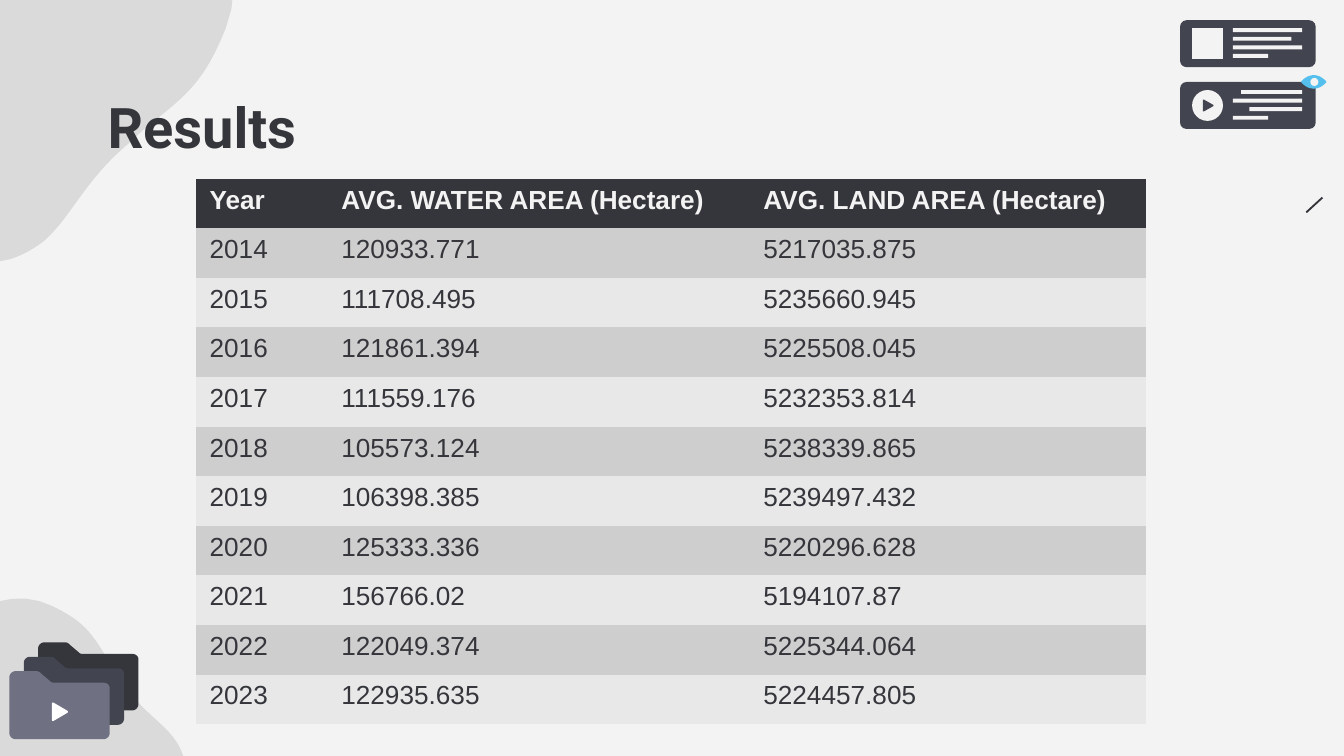
from lxml.etree import SubElement
from pptx import Presentation
from pptx.dml.color import RGBColor
from pptx.enum.shapes import MSO_CONNECTOR as CONNECTOR, MSO_SHAPE as SHAPE
from pptx.enum.text import MSO_ANCHOR as ANCHOR, MSO_AUTO_SIZE as AUTO_SIZE, PP_ALIGN as ALIGN
from pptx.oxml.ns import qn
from pptx.util import Inches, Pt

COLORS = {
    "background": "F3F3F3", "ink": "35363B", "slate": "42444F", "lavender": "6F7082",
    "white": "FFFFFF", "eye": "55C0ED", "odd": "CECECE", "even": "E8E8E8", "shade": "000000",
}
PLAIN_TABLE_STYLE = "{2D5ABB26-0587-4C30-8999-92F81FD0307C}"
TOP_BLOB = [
    (-0.28, -0.56), (-0.42, -0.45, -0.58, -0.28, -0.68, -0.06), (-0.92, 0.45, -0.82, 0.97, -0.75, 1.4),
    (-0.68, 1.83, -0.34, 2.04, 0.07, 1.93), (0.17, 1.9, 0.25, 1.85, 0.32, 1.8),
    (0.52, 1.63, 0.62, 1.36, 0.93, 1.09), (0.98, 1.05, 1.02, 1.01, 1.06, 0.97),
    (1.12, 0.93, 1.16, 0.89, 1.21, 0.85), (1.42, 0.68, 1.54, 0.56, 1.68, 0.21),
    (1.87, -0.27, 1.56, -0.77, 1.01, -0.87), (0.46, -0.98, 0.05, -0.78, 0.05, -0.78),
    (0.05, -0.78, -0.1, -0.71, -0.28, -0.56),
]
BOTTOM_BLOB = [
    (-0.44, 5.8), (-0.38, 5.91, -0.28, 6.02, -0.14, 6.11), (0.19, 6.3, 0.57, 6.26, 0.89, 6.23),
    (1.2, 6.21, 1.4, 5.99, 1.38, 5.7), (1.37, 5.63, 1.35, 5.58, 1.32, 5.53),
    (1.23, 5.38, 1.05, 5.3, 0.91, 5.07), (0.88, 5.03, 0.86, 5, 0.84, 4.97),
    (0.82, 4.93, 0.8, 4.9, 0.78, 4.87), (0.68, 4.71, 0.62, 4.62, 0.39, 4.51),
    (0.07, 4.35, -0.33, 4.54, -0.48, 4.91), (-0.63, 5.28, -0.55, 5.57, -0.55, 5.57),
    (-0.55, 5.57, -0.52, 5.67, -0.44, 5.8),
]
FOLDER = [
    (0.32, 0.04), (0.4, 0.14), (0.41, 0.16, 0.43, 0.17, 0.44, 0.17), (0.94, 0.17),
    (0.97, 0.17, 1, 0.2, 1, 0.25), (1, 0.91), (1, 0.96, 0.97, 1, 0.94, 1), (0.06, 1),
    (0.03, 1, 0, 0.96, 0, 0.91), (0, 0.09), (0, 0.04, 0.03, 0, 0.06, 0), (0.27, 0),
    (0.29, 0, 0.31, 0.02, 0.32, 0.04),
]
PLAY = [
    (0, 0.07), (0, 0.93), (0, 1, 0.05, 1, 0.11, 0.98), (0.95, 0.56),
    (1, 0.53, 1, 0.47, 0.95, 0.44), (0.11, 0.02), (0.05, 0, 0, 0, 0, 0.07),
]
EYE = [(0, 0.5), (0.13, 0.2, 0.3, 0, 0.5, 0), (0.7, 0, 0.87, 0.2, 1, 0.5),
       (0.87, 0.8, 0.7, 1, 0.5, 1), (0.3, 1, 0.13, 0.8, 0, 0.5)]
RESULTS = [
    ("Year", "AVG. WATER AREA (Hectare)", "AVG. LAND AREA (Hectare)"),
    ("2014", "120933.771", "5217035.875"),
    ("2015", "111708.495", "5235660.945"),
    ("2016", "121861.394", "5225508.045"),
    ("2017", "111559.176", "5232353.814"),
    ("2018", "105573.124", "5238339.865"),
    ("2019", "106398.385", "5239497.432"),
    ("2020", "125333.336", "5220296.628"),
    ("2021", "156766.02", "5194107.87"),
    ("2022", "122049.374", "5225344.064"),
    ("2023", "122935.635", "5224457.805"),
]


def rgb(name):
    """Return the named colour."""
    return RGBColor.from_string(COLORS[name])


def paint(shape, color):
    """Give a shape a flat fill with no line or shadow."""
    shape.shadow.inherit = False
    shape.fill.solid()
    shape.fill.fore_color.rgb = rgb(color)
    shape.line.fill.background()
    return shape


def preset(slide, kind, box, color):
    """Add a flat preset shape in a box given in inches."""
    return paint(slide.shapes.add_shape(kind, *map(Inches, box)), color)


def trace(steps, samples=10):
    """Turn line and cubic curve steps into points."""
    points = [steps[0]]
    for step in steps[1:]:
        if len(step) == 2:
            points.append(step)
            continue
        knots = [points[-1], step[:2], step[2:4], step[4:]]
        for i in range(1, samples + 1):
            t = i / samples
            weights = ((1 - t) ** 3, 3 * t * (1 - t) ** 2, 3 * t * t * (1 - t), t ** 3)
            points.append(tuple(sum(w * k[axis] for w, k in zip(weights, knots)) for axis in (0, 1)))
    return points


def outline(slide, steps, box, color):
    """Draw a closed outline whose steps are shares of its box."""
    left, top, width, height = box
    points = [(Inches(left + x * width), Inches(top + y * height)) for x, y in trace(steps)]
    builder = slide.shapes.build_freeform(*points[0], scale=1.0)
    builder.add_line_segments(points[1:], close=True)
    return paint(builder.convert_to_shape(), color)


def add_blobs(slide, box):
    """Place the translucent corner blobs on the slide's inch grid."""
    for steps in (TOP_BLOB, BOTTOM_BLOB):
        blob = outline(slide, steps, box, "shade")
        fill_color = blob.element.spPr.find(qn("a:solidFill"))[0]
        SubElement(fill_color, qn("a:alpha"), val="10000")


def add_folders(slide, box):
    """Stack three folders from the back right to the front left."""
    left, top, width, height = box
    step = 0.107
    for depth, color in zip((2, 1, 0), ("ink", "slate", "lavender")):
        folder = (left + depth * step, top + (2 - depth) * step, width - 2 * step, height - 2 * step)
        outline(slide, FOLDER, folder, color)
    outline(slide, PLAY, (left + 0.33 * width, top + 0.62 * height, 0.12, 0.14), "white")


def add_card(slide, box, icon, bars):
    """Draw a card with an icon and text bars given as start and end shares."""
    left, top, width, height = box
    card = preset(slide, SHAPE.ROUNDED_RECTANGLE, box, "slate")
    card.adjustments[0] = 0.14
    preset(slide, icon, (left + 0.09, top + 0.06, 0.23, 0.23), "background")
    for row, (start, end) in enumerate(bars):
        bar = (left + start * width, top + 0.06 + row * 0.064, (end - start) * width, 0.03)
        preset(slide, SHAPE.RECTANGLE, bar, "background")


def add_cards(slide, box):
    """Place the two media cards, the eye and the slanted stroke."""
    left, top, width, height = box
    add_card(slide, (left, top, width, height), SHAPE.RECTANGLE,
             [(0.39, 0.9), (0.39, 0.82), (0.39, 0.9), (0.39, 0.65)])
    add_card(slide, (left, top + 0.46, width, height), SHAPE.OVAL,
             [(0.45, 0.9), (0.39, 0.9), (0.51, 0.9), (0.39, 0.65)])
    outline(slide, PLAY, (left + 0.17, top + 0.59, 0.08, 0.09), "slate")
    outline(slide, EYE, (left + 0.9, top + 0.41, 0.19, 0.1), "eye")
    preset(slide, SHAPE.OVAL, (left + 0.97, top + 0.43, 0.06, 0.06), "background")
    ends = (left + 0.94, top + 1.43, left + 1.06, top + 1.32)
    stroke = slide.shapes.add_connector(CONNECTOR.STRAIGHT, *map(Inches, ends))
    stroke.line.color.rgb = rgb("ink")
    stroke.line.width = Pt(1)
    SubElement(stroke.element.spPr, qn("a:effectLst"))


def style(font, name, size, color, bold):
    """Set the typeface, size, colour and weight of a font."""
    font.name, font.size, font.bold = name, Pt(size), bold
    font.color.rgb = rgb(color)


def add_title(slide, box):
    """Format the title placeholder and bring it in front of the blobs."""
    title = slide.shapes.title
    title.left, title.top, title.width, title.height = map(Inches, box)
    frame = title.text_frame
    frame.text = "Results"
    frame.auto_size = AUTO_SIZE.NONE
    frame.word_wrap = True
    frame.vertical_anchor = ANCHOR.BOTTOM
    frame.margin_left = frame.margin_right = frame.margin_top = frame.margin_bottom = Inches(0.1)
    frame.paragraphs[0].alignment = ALIGN.LEFT
    style(frame.paragraphs[0].runs[0].font, "Roboto", 30, "ink", True)
    title.element.getparent().append(title.element)


def add_results(slide, box):
    """Fill the borderless table of yearly water and land areas."""
    holder = slide.shapes.add_table(len(RESULTS), 3, *map(Inches, box))
    next(holder.element.iter(qn("a:tableStyleId"))).text = PLAIN_TABLE_STYLE
    table = holder.table
    for column, width in zip(table.columns, (0.98, 3.14, 2.95)):
        column.width = Inches(width)
    for r, record in enumerate(RESULTS):
        fill = "ink" if r == 0 else ("even", "odd")[r % 2]
        for c, value in enumerate(record):
            cell = table.cell(r, c)
            cell.fill.solid()
            cell.fill.fore_color.rgb = rgb(fill)
            cell.text_frame.text = value
            font = cell.text_frame.paragraphs[0].runs[0].font
            style(font, "Arial", 14, "ink" if r else "background", r == 0)


def main():
    """Build and save the results slide."""
    deck = Presentation()
    deck.slide_width, deck.slide_height = Inches(10), Inches(10 * 9 / 16)
    slide = deck.slides.add_slide(deck.slide_layouts[5])
    slide.background.fill.solid()
    slide.background.fill.fore_color.rgb = rgb("background")
    add_blobs(slide, (0, 0, 1, 1))
    add_folders(slide, (0.07, 4.78, 0.96, 0.72))
    add_title(slide, (0.7, 0.19, 3.07, 1.1))
    add_cards(slide, (8.78, 0.15, 1.01, 0.35))
    add_results(slide, (1.46, 1.33, 7.07, 4.06))
    deck.save("out.pptx")


if __name__ == "__main__":
    main()
